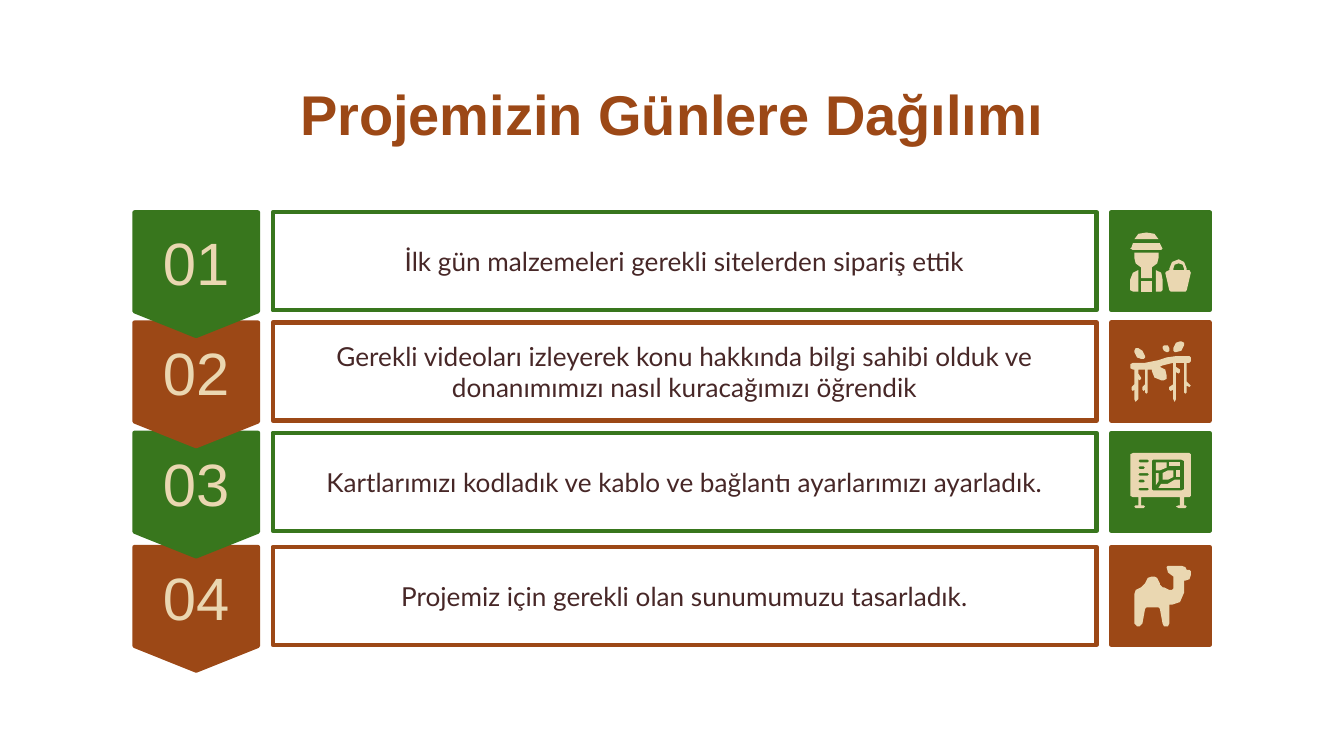
from pptx import Presentation
from pptx.dml.color import RGBColor
from pptx.enum.shapes import MSO_SHAPE
from pptx.enum.text import MSO_ANCHOR, PP_ALIGN
from pptx.util import Pt

COLORS = {"green": "38761D", "rust": "9C4816", "sand": "EAD7B1", "ink": "472727"}
GRID = 0.72

TITLE_FONT = {"name": "Arial", "size": Pt(30), "bold": True}
NUMBER_FONT = {"name": "Arial", "size": Pt(32), "bold": False}
TASK_FONT = {"name": "Lato", "size": Pt(14), "bold": False}
FRAME = {"word_wrap": True, "margin_left": Pt(7.2), "margin_right": Pt(7.2),
         "margin_top": Pt(7.2), "margin_bottom": Pt(7.2)}

FARMER = [
    [[(50, 35), (45, 37), (43, 42), (43, 43), (41, 44), (40, 45), (43, 58), (44, 59),
      (55, 59), (56, 58), (59, 45), (58, 43), (56, 43), (56, 42), (54, 37)],
     [(50, 38), (53, 39), (54, 42), (54, 43), (46, 43), (46, 42), (47, 39)]],
    [[(17, 30), (17, 34), (18, 38), (22, 41), (22, 49), (30, 49), (30, 41), (34, 38),
      (35, 34), (35, 30)]],
    [[(22, 51), (30, 51), (30, 59), (22, 59)]],
    [[(20, 43), (16, 45), (14, 50), (14, 58), (16, 59), (20, 59)]],
    [[(33, 43), (37, 45), (38, 50), (38, 58), (37, 59), (33, 59)]],
    [[(26, 15), (20, 16), (17, 20), (35, 20), (32, 16)]],
    [[(16, 23), (15, 26), (14, 27), (16, 28), (37, 28), (38, 27), (36, 23)]],
]
VINE = [
    [[(48, 25), (41, 26), (35, 28), (25, 30), (16, 30), (14, 31), (14, 34), (16, 35),
      (17, 35), (17, 46), (15, 48), (15, 50), (16, 51), (17, 50), (17, 57), (18, 59),
      (20, 57), (20, 42), (21, 43), (22, 42), (22, 41), (20, 38), (20, 35), (25, 35),
      (25, 46), (23, 48), (23, 50), (24, 51), (25, 50), (25, 52), (26, 53), (27, 52),
      (27, 35), (30, 35), (30, 36), (32, 41), (37, 43), (39, 43), (41, 42), (41, 39),
      (40, 35), (36, 33), (38, 32), (46, 30), (46, 46), (43, 48), (43, 50), (44, 51),
      (46, 50), (46, 57), (47, 59), (48, 57), (48, 37), (50, 38), (51, 37), (51, 35),
      (48, 33), (48, 30), (54, 30), (54, 52), (55, 53), (56, 52), (56, 47), (58, 48),
      (59, 47), (58, 46), (56, 44), (56, 30), (58, 30), (59, 29), (59, 26), (58, 25)]],
    [[(51, 14), (48, 15), (46, 19), (46, 21), (47, 22), (48, 22), (52, 21), (54, 17),
      (54, 15), (52, 14)]],
    [[(18, 19), (17, 21), (17, 22), (19, 26), (22, 27), (24, 27), (25, 26), (25, 25),
      (23, 21), (20, 19)]],
    [[(39, 17), (38, 18), (38, 19), (39, 21), (41, 22), (42, 22), (43, 21), (43, 19),
      (42, 17)]],
]
SLOTS = [[(21, top), (right - 1, top), (right, top + 1), (right - 1, top + 2),
          (21, top + 2), (20, top + 1)]
         for top, right in zip((20, 25, 30, 35, 41), (28, 25, 28, 25, 28))]
BOARD = [
    [[(48, 28), (48, 33), (51, 33), (51, 28)]],
    [[(42, 28), (38, 30), (38, 35), (42, 35), (46, 33), (46, 28)]],
    [[(33, 30), (33, 39), (35, 36), (35, 30)]],
    [[(43, 22), (43, 25), (51, 25), (51, 22)]],
    [[(33, 22), (33, 28), (36, 28), (41, 26), (41, 22)]],
    [[(47, 35), (42, 38), (37, 38), (35, 41), (51, 41), (51, 35)]],
    [[(16, 15), (14, 16), (14, 47), (16, 48), (20, 48), (20, 54), (18, 54), (17, 55),
      (18, 56), (24, 56), (25, 55), (24, 54), (22, 54), (22, 48), (51, 48), (51, 54),
      (50, 54), (48, 55), (50, 56), (55, 56), (56, 55), (55, 54), (54, 54), (54, 48),
      (58, 48), (59, 47), (59, 16), (58, 15)],
     [(31, 20), (52, 20), (54, 21), (54, 42), (52, 43), (31, 43), (30, 42), (30, 21)],
     *SLOTS],
]
CAMEL = [
    [[(42, 14), (41, 15), (42, 19), (46, 22), (46, 31), (45, 32), (43, 32), (39, 30),
      (38, 30), (36, 28), (36, 27), (34, 23), (32, 22), (30, 22), (27, 23), (25, 27),
      (24, 28), (22, 30), (18, 32), (17, 35), (17, 57), (19, 59), (21, 59), (23, 57),
      (25, 46), (26, 45), (35, 45), (36, 46), (38, 57), (39, 59), (42, 59), (43, 57),
      (43, 43), (45, 43), (51, 41), (54, 34), (54, 25), (55, 25), (58, 24), (59, 21),
      (59, 18), (58, 17), (56, 17), (55, 15), (52, 14)]],
]
DAYS = [
    (113.76, "green", "İlk gün malzemeleri gerekli sitelerden sipariş ettik", FARMER),
    (172.8, "rust", "Gerekli videoları izleyerek konu hakkında bilgi sahibi olduk ve "
     "donanımımızı nasıl kuracağımızı öğrendik", VINE),
    (231.84, "green", "Kartlarımızı kodladık ve kablo ve bağlantı ayarlarımızı ayarladık.",
     BOARD),
    (293.04, "rust", "Projemiz için gerekli olan sunumumuzu tasarladık.", CAMEL),
]


def rgb(color):
    """Return the named colour."""
    return RGBColor.from_string(COLORS[color])


def write(shape, words, font, color, anchor=MSO_ANCHOR.MIDDLE):
    """Put one centred paragraph in a shape."""
    frame = shape.text_frame
    for key, value in {**FRAME, "vertical_anchor": anchor}.items():
        setattr(frame, key, value)
    paragraph = frame.paragraphs[0]
    paragraph.text = words
    paragraph.alignment = PP_ALIGN.CENTER
    for key, value in font.items():
        setattr(paragraph.font, key, value)
    paragraph.font.color.rgb = rgb(color)


def add_block(slide, preset, box, color, filled=True):
    """Add an outlined preset shape in the given box."""
    block = slide.shapes.add_shape(preset, *map(Pt, box))
    block.shadow.inherit = False
    block.line.color.rgb = rgb(color)
    block.line.width = Pt(2.25)
    if filled:
        block.fill.solid()
        block.fill.fore_color.rgb = rgb(color)
    else:
        block.fill.background()
    return block


def add_icon(slide, left, top, parts):
    """Draw an icon's parts on a grid that starts at the given corner."""
    for outlines in parts:
        builder = slide.shapes.build_freeform(*outlines[0][0], scale=Pt(GRID))
        builder.add_line_segments(outlines[0][1:], close=True)
        for outline in outlines[1:]:
            builder.move_to(*outline[0])
            builder.add_line_segments(outline[1:], close=True)
        part = builder.convert_to_shape(Pt(left), Pt(top))
        part.shadow.inherit = False
        part.fill.solid()
        part.fill.fore_color.rgb = rgb("sand")
        part.line.fill.background()


def add_title(slide, left, top, width, height):
    """Add the slide heading."""
    title = slide.shapes.add_textbox(Pt(left), Pt(top), Pt(width), Pt(height))
    write(title, "Projemizin Günlere Dağılımı", TITLE_FONT, "rust", MSO_ANCHOR.TOP)


def add_number(slide, left, top, size, color, number):
    """Add the pointed tab with the day number."""
    tab = add_block(slide, MSO_SHAPE.FLOWCHART_OFFPAGE_CONNECTOR,
                    (left, top, size, size), color)
    write(tab, f"{number:02}", NUMBER_FONT, "sand")


def add_day(slide, left, top, width, height, color, task, icon):
    """Add the task box and the icon tile at its right end."""
    tile_left = left + width - height
    task_box = add_block(slide, MSO_SHAPE.RECTANGLE,
                         (left, top, width - height - 7.92, height), color, False)
    write(task_box, task, TASK_FONT, "ink")
    add_block(slide, MSO_SHAPE.RECTANGLE, (tile_left, top, height, height), color)
    add_icon(slide, tile_left, top, icon)


def main():
    """Build and save the slide."""
    deck = Presentation()
    deck.slide_width, deck.slide_height = Pt(720), Pt(405)
    slide = deck.slides.add_slide(deck.slide_layouts[6])
    for number, (top, color, *_) in reversed(list(enumerate(DAYS, 1))):
        add_number(slide, 72, top, 66.24, color, number)
    add_title(slide, 36, 35.28, 648, 45.36)
    for top, color, task, icon in DAYS:
        add_day(slide, 146.16, top, 501.84, 52.56, color, task, icon)
    deck.save("out.pptx")


if __name__ == "__main__":
    main()
